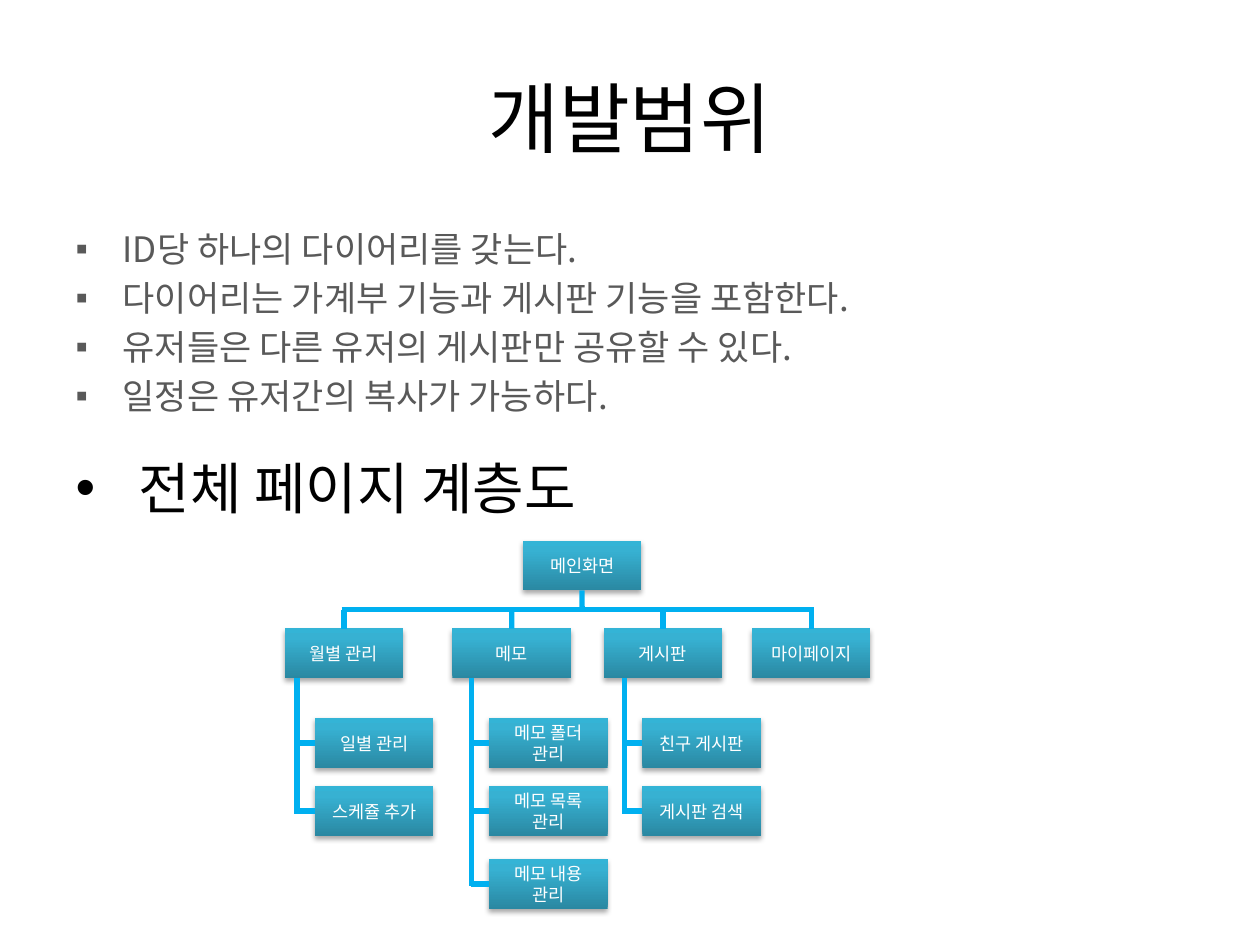
from lxml import etree
from pptx import Presentation
from pptx.dml.color import RGBColor
from pptx.enum.shapes import MSO_CONNECTOR, MSO_SHAPE
from pptx.enum.text import MSO_ANCHOR, MSO_AUTO_SIZE, PP_ALIGN
from pptx.oxml.ns import qn
from pptx.util import Cm, Pt

RECTANGLE = MSO_SHAPE.RECTANGLE
STRAIGHT = MSO_CONNECTOR.STRAIGHT
CENTER = PP_ALIGN.CENTER
MIDDLE = MSO_ANCHOR.MIDDLE
NO_AUTOFIT = MSO_AUTO_SIZE.NONE
TOP, LEFT, BOTTOM = 0, 1, 2

BOX_WIDTH, BOX_HEIGHT = 2.39, 1.0
MAIN_LEFT, MAIN_TOP = 10.54, 10.9
RAIL_Y, SECTION_TOP = 12.29, 12.67
PAGE_TOPS = (14.48, 15.85, 17.32)
SPINE_GAP = 0.36
HALF_LINE = 0.05

RULES = [
    "ID당 하나의 다이어리를 갖는다.",
    "다이어리는 가계부 기능과 게시판 기능을 포함한다.",
    "유저들은 다른 유저의 게시판만 공유할 수 있다.",
    "일정은 유저간의 복사가 가능하다.",
]
# section name, section left, left of its pages, pages
SECTIONS = [
    ("월별 관리", 5.74, 6.35, ["일별 관리", "스케쥴 추가"]),
    ("메모", 9.12, 9.86, ["메모 폴더 관리", "메모 목록 관리", "메모 내용 관리"]),
    ("게시판", 12.17, 12.95, ["친구 게시판", "게시판 검색"]),
    ("마이페이지", 15.16, 0, []),
]


def rgb(value):
    return RGBColor.from_string(value)


def add_xml(parent, tag, **attributes):
    return etree.SubElement(parent, qn(tag), attributes)


def add_color_xml(parent, value):
    return add_xml(parent, "a:srgbClr", val=value)


class SlideBuilder:
    """Holds the style of the deck and the slide being filled."""

    font = "Noto Sans CJK KR"
    line_color = "00B0F0"
    line_width = 3
    box_stops = ((0, "2A88A2"), (80, "37B1D2"), (100, "34B4D6"))

    def __init__(self, slide):
        self.slide = slide

    def style(self, paragraph, size, color):
        paragraph.font.size = Pt(size)
        paragraph.font.name = self.font
        paragraph.font.color.rgb = rgb(color)
        defaults = paragraph._p.pPr.find(qn("a:defRPr"))
        add_xml(defaults, "a:ea", typeface=self.font)

    def title(self, text, left, top, width, height):
        title = self.slide.shapes.title
        title.left, title.top = Cm(left), Cm(top)
        title.width, title.height = Cm(width), Cm(height)
        title.text_frame.text = text
        heading = title.text_frame.paragraphs[0]
        heading.alignment = CENTER
        self.style(heading, 44, "000000")

    def body(self, left, top, width, height):
        body = self.slide.placeholders[1]
        body.left, body.top = Cm(left), Cm(top)
        body.width, body.height = Cm(width), Cm(height)
        body.text_frame.auto_size = NO_AUTOFIT
        return body.text_frame

    def bullet(self, paragraph, text, mark, size, color, indent, before, leading):
        paragraph.text = text
        paragraph.space_before = Pt(before)
        paragraph.line_spacing = Pt(leading)
        self.style(paragraph, size, color)
        properties = paragraph._p.pPr
        properties.set("marL", str(Cm(indent)))
        properties.set("indent", str(-Cm(indent)))
        bullet_char = etree.Element(qn("a:buChar"), char=mark)
        properties.find(qn("a:defRPr")).addprevious(bullet_char)

    def box(self, text, left, top):
        box = self.slide.shapes.add_shape(
            RECTANGLE, Cm(left), Cm(top), Cm(BOX_WIDTH), Cm(BOX_HEIGHT))
        box.line.fill.background()
        self.shade(box)
        self.cast_shadow(box)
        frame = box.text_frame
        frame.word_wrap = True
        frame.vertical_anchor = MIDDLE
        frame.text = text
        label = frame.paragraphs[0]
        label.alignment = CENTER
        label.line_spacing = Pt(12)
        self.style(label, 10, "FFFFFF")
        return box

    def shade(self, box):
        box.fill.gradient()
        box.fill.gradient_angle = 90
        stops = box._element.spPr.find(".//" + qn("a:gsLst"))
        for stop in list(stops):
            stops.remove(stop)
        for percent, color in self.box_stops:
            add_color_xml(add_xml(stops, "a:gs", pos=str(percent * 1000)), color)

    def cast_shadow(self, box):
        box.shadow.inherit = False
        effects = box._element.spPr.find(qn("a:effectLst"))
        shadow = add_xml(effects, "a:outerShdw", blurRad=str(Pt(3.1)),
                         dist=str(Pt(1.8)), dir="5400000", rotWithShape="0")
        add_xml(add_color_xml(shadow, "000000"), "a:alpha", val="35000")

    def line(self, x1, y1, x2, y2, start=None, end=None):
        """Draw a line; start and end are optional (box, side) joints."""
        line = self.slide.shapes.add_connector(
            STRAIGHT, Cm(x1), Cm(y1), Cm(x2), Cm(y2))
        line.line.color.rgb = rgb(self.line_color)
        line.line.width = Pt(self.line_width)
        add_xml(line._element.spPr, "a:effectLst")
        if start:
            line.begin_connect(*start)
        if end:
            line.end_connect(*end)

    def section(self, name, left, page_left, pages):
        """Draw a section box, its drop from the rail and its pages."""
        center = left + BOX_WIDTH / 2
        section = self.box(name, left, SECTION_TOP)
        self.line(center, RAIL_Y, center, SECTION_TOP, end=(section, TOP))
        if not pages:
            return
        spine = page_left - SPINE_GAP
        for page, top in zip(pages, PAGE_TOPS):
            middle = top + BOX_HEIGHT / 2
            page_box = self.box(page, page_left, top)
            self.line(spine, middle, page_left, middle, end=(page_box, LEFT))
        self.line(spine, SECTION_TOP + BOX_HEIGHT, spine, middle + HALF_LINE)


def main():
    deck = Presentation()
    deck.slide_width, deck.slide_height = Cm(25.4), Cm(19.05)
    builder = SlideBuilder(deck.slides.add_slide(deck.slide_layouts[1]))

    builder.title("개발범위", 1.27, 0.76, 22.86, 3.18)
    body = builder.body(1.27, 4.45, 22.86, 12.57)
    for index, rule in enumerate(RULES):
        paragraph = body.add_paragraph() if index else body.paragraphs[0]
        builder.bullet(paragraph, rule, "▪", 20, "595959", 0.95,
                       before=4 if index else 2, leading=24)
    builder.bullet(body.add_paragraph(), "전체 페이지 계층도", "•", 32, "000000",
                   1.27, before=21.5, leading=38)

    main_page = builder.box("메인화면", MAIN_LEFT, MAIN_TOP)
    main_center = MAIN_LEFT + BOX_WIDTH / 2
    builder.line(main_center, MAIN_TOP + BOX_HEIGHT, main_center, RAIL_Y,
                 start=(main_page, BOTTOM))
    centers = [left + BOX_WIDTH / 2 for _, left, _, _ in SECTIONS]
    builder.line(centers[0] - HALF_LINE, RAIL_Y, centers[-1] + HALF_LINE, RAIL_Y)
    for section in SECTIONS:
        builder.section(*section)

    deck.save("out.pptx")


if __name__ == "__main__":
    main()
